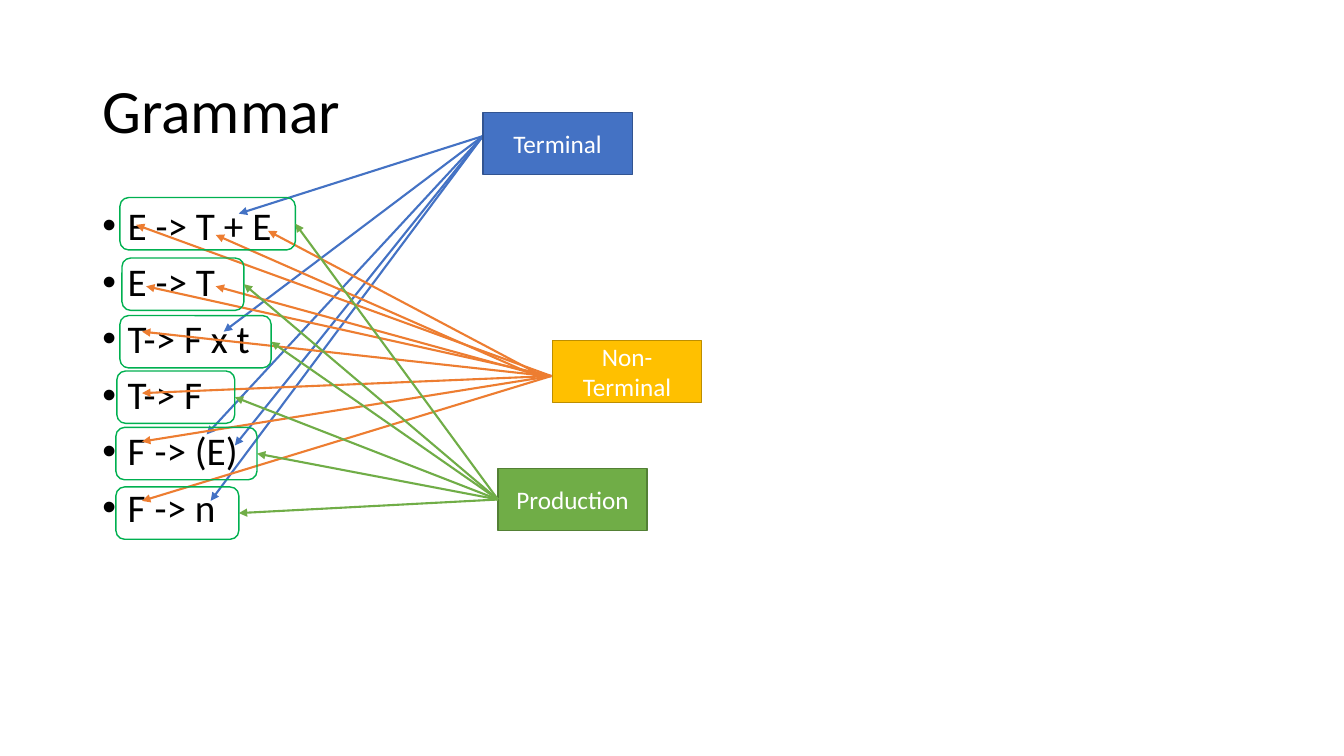
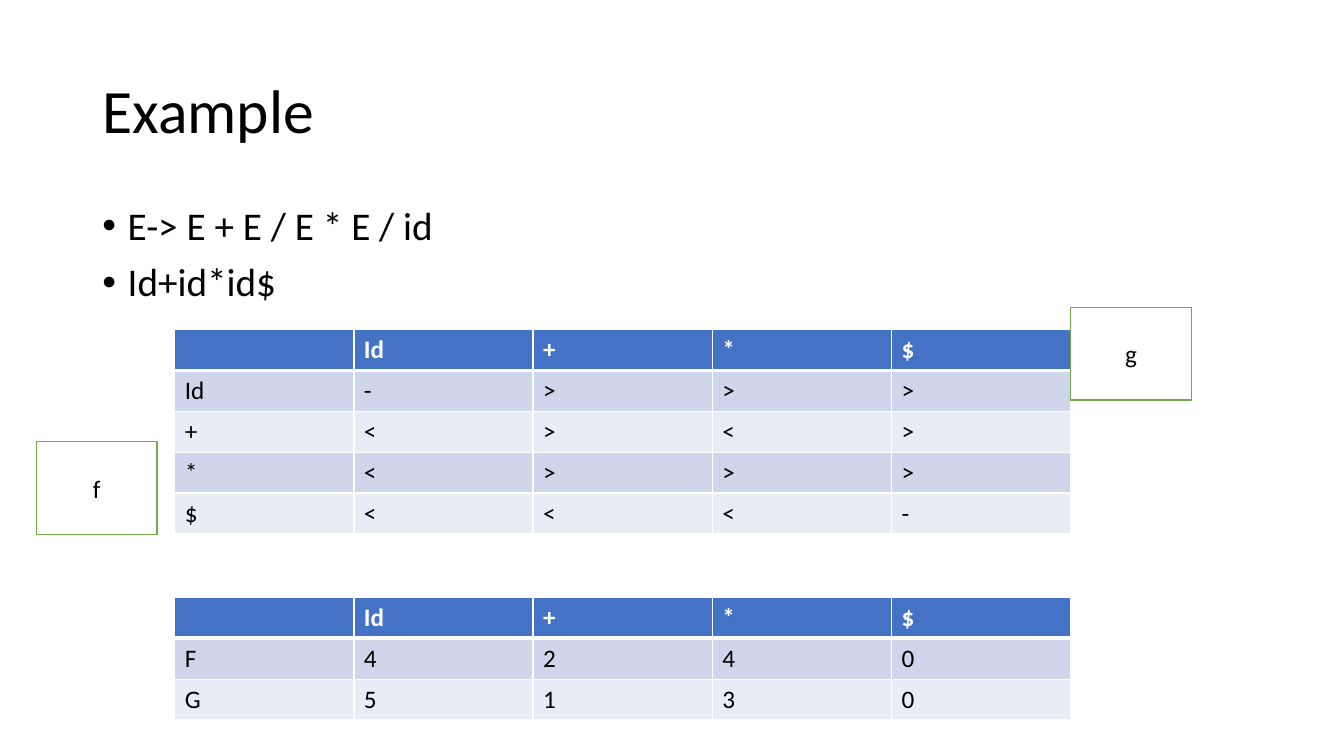
from dataclasses import dataclass

from lxml.etree import SubElement
from pptx import Presentation
from pptx.dml.color import RGBColor
from pptx.enum.shapes import MSO_CONNECTOR, MSO_SHAPE
from pptx.enum.text import MSO_ANCHOR, MSO_AUTO_SIZE, PP_ALIGN
from pptx.oxml import parse_xml
from pptx.oxml.ns import nsdecls, qn
from pptx.util import Pt


@dataclass(frozen=True)
class Theme:
    font: str = "Calibri"
    title_size: float = 44
    body_size: float = 28
    label_size: float = 18
    black: str = "000000"
    white: str = "FFFFFF"
    blue: str = "4472C4"
    blue_edge: str = "325491"
    orange: str = "ED7D31"
    gold: str = "FFC000"
    gold_edge: str = "BD8E00"
    green: str = "70AD47"
    green_edge: str = "538035"
    frame: str = "00B050"
    bands: tuple = ("CFD5EA", "E9EBF5")
    outline: float = 1
    arrow: float = 1.5
    header_rule: float = 3


@dataclass(frozen=True)
class Box:
    left: float
    top: float
    width: float
    height: float

    def inner(self, left, top, width, height):
        return Box(self.left + left, self.top + top, width, height)

    def points(self):
        return Pt(self.left), Pt(self.top), Pt(self.width), Pt(self.height)


THEME = Theme()
PAGE = Box(0, 0, 960, 540)
TITLE = PAGE.inner(66, 28.8, 828, 104.4)
BODY = PAGE.inner(66, 144, 828, 342.6)
DIAGRAM = PAGE.inner(66, 72, 440, 320)
PRECEDENCE = PAGE.inner(124.8, 235.4, 640, 146)
FUNCTIONS = PAGE.inner(124.8, 426.7, 640, 87.6)


def rgb(value):
    return RGBColor.from_string(value)


def style_text(paragraph, size, color, bold=False):
    font = paragraph.font
    font.name = THEME.font
    font.size = Pt(size)
    font.bold = bold
    font.color.rgb = rgb(color)


def place(shape, box):
    shape.left, shape.top, shape.width, shape.height = box.points()


def start_slide(deck, heading, rules):
    slide = deck.slides.add_slide(deck.slide_layouts[1])
    title, body = slide.placeholders
    place(title, TITLE)
    title.text_frame.text = heading
    title.text_frame.vertical_anchor = MSO_ANCHOR.MIDDLE
    line = title.text_frame.paragraphs[0]
    line.alignment = PP_ALIGN.LEFT
    line.line_spacing = 0.9
    style_text(line, THEME.title_size, THEME.black)

    place(body, BODY)
    body.text_frame.text = "\n".join(rules)
    body.text_frame.auto_size = MSO_AUTO_SIZE.NONE
    for rule in body.text_frame.paragraphs:
        rule.line_spacing = 0.9
        rule.space_before = Pt(10)
        style_text(rule, THEME.body_size, THEME.black)
        properties = rule._p.get_or_add_pPr()
        properties.set("marL", str(Pt(18)))
        properties.set("indent", str(Pt(-18)))
    return slide


def add_outline(slide, box, preset, edge):
    shape = slide.shapes.add_shape(preset, *box.points())
    shape.shadow.inherit = False
    shape.fill.background()
    shape.line.color.rgb = rgb(edge)
    shape.line.width = Pt(THEME.outline)
    return shape


def add_label(slide, box, text, fill, edge, color=THEME.white):
    label = add_outline(slide, box, MSO_SHAPE.RECTANGLE, edge)
    label.fill.solid()
    label.fill.fore_color.rgb = rgb(fill)
    label.text_frame.text = text
    label.text_frame.word_wrap = True
    label.text_frame.vertical_anchor = MSO_ANCHOR.MIDDLE
    caption = label.text_frame.paragraphs[0]
    caption.alignment = PP_ALIGN.CENTER
    style_text(caption, THEME.label_size, color)
    return label


def add_arrow(slide, start, end, color):
    arrow = slide.shapes.add_connector(
        MSO_CONNECTOR.STRAIGHT, *(Pt(value) for value in (*start, *end)))
    arrow.line.color.rgb = rgb(color)
    arrow.line.width = Pt(THEME.arrow)
    SubElement(arrow.line._get_or_add_ln(), qn("a:tailEnd"), type="triangle")
    SubElement(arrow._element.spPr, qn("a:effectLst"))
    return arrow


def add_symbol_arrows(slide, box, origin, targets, color):
    for shift, x, y in targets:
        add_arrow(slide, (origin[0] - shift, origin[1]),
                  (box.left + x, box.top + y), color)


def add_diagram(slide, box):
    terminal = box.inner(279, 8.6, 106.6, 44)
    nonterminal = box.inner(328.6, 171.4, 106.6, 44)
    production = box.inner(289.7, 262.8, 106.6, 44)
    terminal_targets = [(0, 104.6, 80.6), (0, 93.8, 164.9), (0, 81.6, 238.3),
                        (0, 101.8, 246.2), (0, 84.5, 285.8)]
    nonterminal_targets = [
        (0.8, 35.5, 208.8), (0.8, 35.5, 243.4), (0.8, 35.5, 285.8),
        (0.8, 38.4, 132.5), (0.8, 31.2, 88.6), (3.6, 35.5, 164.9),
        (11.5, 88.1, 95.8), (7.2, 125.5, 92.9), (7.2, 88.1, 132.5)]
    rule_frames = [(19.7, 69.1, 125.3), (21.1, 112.3, 87.1), (19.7, 153.4, 108),
                   (17.5, 193, 84.2), (16.8, 233.3, 100.8), (16.8, 275.8, 87.8)]

    add_symbol_arrows(slide, box, (terminal.left, terminal.top + 16.6),
                      terminal_targets, THEME.blue)
    add_symbol_arrows(slide, box, (nonterminal.left, nonterminal.top + 25.2),
                      nonterminal_targets, THEME.orange)
    add_label(slide, terminal, "Terminal", THEME.blue, THEME.blue_edge)
    add_label(slide, nonterminal, "Non-Terminal", THEME.gold, THEME.gold_edge)
    source = add_label(slide, production, "Production",
                       THEME.green, THEME.green_edge)
    for left, top, width in rule_frames:
        rule = add_outline(slide, box.inner(left, top, width, 37.4),
                           MSO_SHAPE.ROUNDED_RECTANGLE, THEME.frame)
        arrow = add_arrow(slide, (0, 0), (0, 0), THEME.green)
        arrow.begin_connect(source, 1)
        arrow.end_connect(rule, 3)


def add_cell_borders(cell, bottom):
    widths = {"lnL": THEME.outline, "lnR": THEME.outline,
              "lnT": THEME.outline, "lnB": bottom}
    for position, (side, width) in enumerate(widths.items()):
        border = parse_xml(
            f'<a:{side} {nsdecls("a")} w="{Pt(width)}"><a:solidFill>'
            f'<a:srgbClr val="{THEME.white}"/></a:solidFill></a:{side}>')
        cell._tc.get_or_add_tcPr().insert(position, border)


def add_grid(slide, box, rows):
    grid = slide.shapes.add_table(len(rows), len(rows[0]), *box.points()).table
    for row_index, row in enumerate(rows):
        header = row_index == 0
        fill = THEME.blue if header else THEME.bands[(row_index - 1) % 2]
        top_rule = THEME.header_rule if row_index == 1 else THEME.outline
        bottom = THEME.header_rule if header else THEME.outline
        for column_index, value in enumerate(row):
            cell = grid.cell(row_index, column_index)
            cell.text = value
            cell.fill.solid()
            cell.fill.fore_color.rgb = rgb(fill)
            style_text(cell.text_frame.paragraphs[0], THEME.label_size,
                       THEME.white if header else THEME.black, header)
            add_cell_borders(cell, bottom)
            cell._tc.tcPr.find(qn("a:lnT")).set("w", str(Pt(top_rule)))


def build_grammar(deck):
    slide = start_slide(deck, "Grammar", [
        "E -> T + E", "E -> T", "T-> F x t", "T-> F", "F -> (E)", "F -> n"])
    add_diagram(slide, DIAGRAM)


def build_example(deck):
    slide = start_slide(deck, "Example", ["E-> E + E / E * E / id", "Id+id*id$"])
    symbols = ["", "Id", "+", "*", "$"]
    add_grid(slide, PRECEDENCE, [
        symbols,
        ["Id", "-", ">", ">", ">"],
        ["+", "<", ">", "<", ">"],
        ["*", "<", ">", ">", ">"],
        ["$", "<", "<", "<", "-"]])
    for name, left, top in [("g", 640, -15.8), ("f", -98.9, 80)]:
        add_label(slide, PRECEDENCE.inner(left, top, 86.4, 66.2), name,
                  THEME.white, THEME.green, THEME.black)
    add_grid(slide, FUNCTIONS, [
        symbols,
        ["F", "4", "2", "4", "0"],
        ["G", "5", "1", "3", "0"]])


def main():
    deck = Presentation()
    deck.slide_width, deck.slide_height = Pt(PAGE.width), Pt(PAGE.height)
    build_grammar(deck)
    build_example(deck)
    deck.save("out.pptx")


if __name__ == "__main__":
    main()
